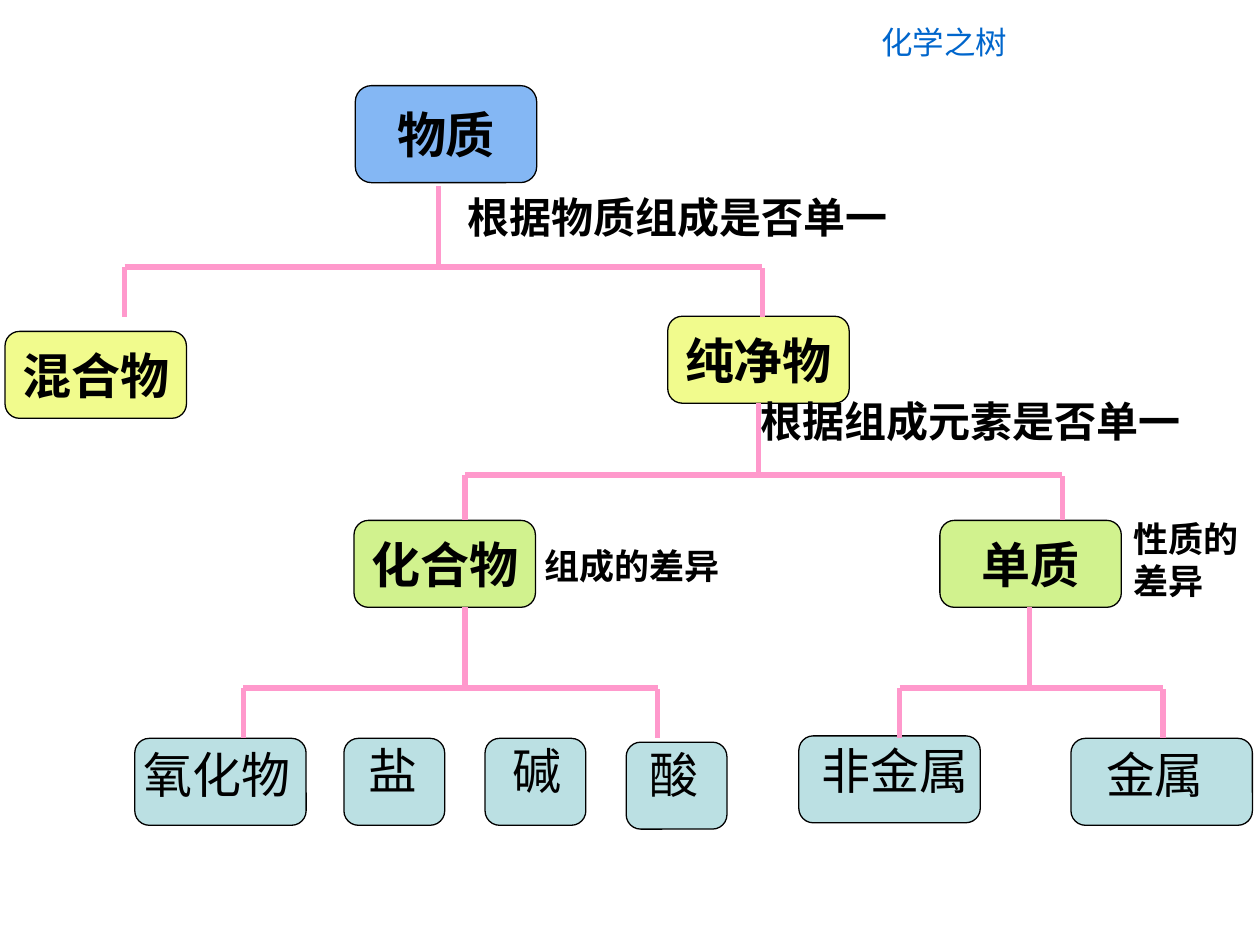
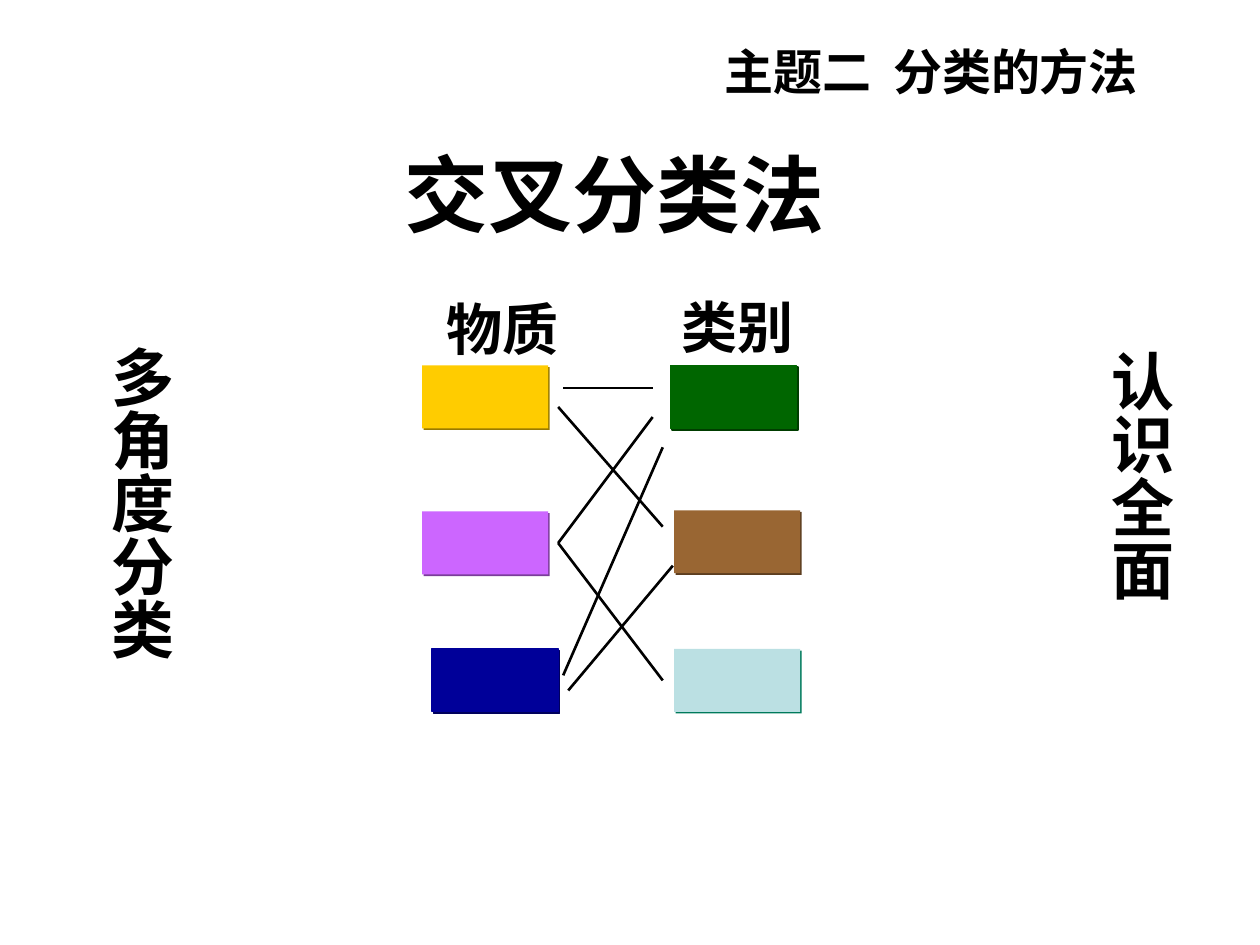
from lxml import etree
from pptx import Presentation
from pptx.dml.color import RGBColor
from pptx.enum import shapes, text
from pptx.oxml import ns
from pptx.util import Pt

PX = 9144  # 100 px to the inch
SERIF, SANS = "Times New Roman", "Noto Sans CJK SC"
BLACK, PINK = "000000", "FF99CC"
LEFT, CENTER = text.PP_ALIGN.LEFT, text.PP_ALIGN.CENTER
TOP, MIDDLE = text.MSO_ANCHOR.TOP, text.MSO_ANCHOR.MIDDLE
color = RGBColor.from_string


def write_text(shape, lines, size, font=SERIF, bold=True, fill=BLACK,
               align=LEFT, anchor=TOP, wrap=True):
    frame = shape.text_frame
    frame.auto_size = text.MSO_AUTO_SIZE.NONE
    frame.word_wrap = wrap
    frame.vertical_anchor = anchor
    for number, line in enumerate(lines):
        paragraph = frame.add_paragraph() if number else frame.paragraphs[0]
        paragraph.alignment = align
        for piece in filter(None, line.partition(" ")):
            run = paragraph.add_run()
            run.text = piece
            run.font.size = Pt(size)
            run.font.bold = bold
            run.font.name = font
            run.font.color.rgb = color(fill)
            properties = run._r.get_or_add_rPr()
            etree.SubElement(properties, ns.qn("a:ea"), typeface=SANS)
            if piece == " ":  # widen the gap between the two parts
                properties.set("spc", "630")


def draw_line(slide, x1, y1, x2, y2, stroke, width):
    line = slide.shapes.add_connector(
        shapes.MSO_CONNECTOR.STRAIGHT, x1 * PX, y1 * PX, x2 * PX, y2 * PX)
    line.line.color.rgb = color(stroke)
    line.line.width = Pt(width)
    etree.SubElement(line._element.spPr, ns.qn("a:effectLst"))


presentation = Presentation()
presentation.slide_width, presentation.slide_height = 1000 * PX, 750 * PX
title_only = presentation.slide_layouts[5]

# Both slides with their titles
titles = [
    ("化学之树", (634, 13, 231, 71), 18, SANS, False, "0066CC"),
    ("交叉分类法", (301, 108, 373, 90), 48, SERIF, True, BLACK),
]
slides = []
for title_text, place, size, font, bold, fill in titles:
    slide = presentation.slides.add_slide(title_only)
    title = slide.shapes.title
    title.left, title.top, title.width, title.height = [n * PX for n in place]
    write_text(title, [title_text], size, font, bold, fill, CENTER, wrap=False)
    slides.append(slide)
tree, crossing = slides

# Tree: boxes, the leaves have their labels apart
boxes = [
    ("物质", 282, 68, 144, 77, "84B7F4"),
    ("混合物", 4, 263, 144, 69, "F1FB8D"),
    ("纯净物", 530, 251, 144, 69, "F1FB8D"),
    ("单质", 746, 413, 144, 69, "D1F28E"),
    ("化合物", 281, 413, 144, 69, "D1F28E"),
]
leaves = [(850, 586, 144), (634, 584, 144), (497, 589, 80),
          (385, 586, 80), (273, 586, 80), (107, 586, 136)]
boxes += [("", x, y, width, 69, "BBE0E3") for x, y, width in leaves]
for name, x, y, width, height, fill in boxes:
    box = tree.shapes.add_shape(shapes.MSO_SHAPE.ROUNDED_RECTANGLE,
                                x * PX, y * PX, width * PX, height * PX)
    box.shadow.inherit = False
    box.fill.solid()
    box.fill.fore_color.rgb = color(fill)
    box.line.color.rgb = color(BLACK)
    box.line.width = Pt(0.75)
    if name:
        write_text(box, [name], 28, align=CENTER, anchor=MIDDLE, wrap=False)

leaf_labels = [("金属", 868, 586, 97), ("非金属", 642, 583, 136),
               ("酸", 506, 586, 59), ("碱", 397, 583, 59),
               ("盐", 283, 583, 59), ("氧化物", 104, 586, 139)]
for name, x, y, width in leaf_labels:
    label = tree.shapes.add_textbox(x * PX, y * PX, width * PX, 57 * PX)
    write_text(label, [name], 28, SANS, bold=False, wrap=False)

# Tree: branches as stem x, stem top, bar y, left x, right x, bottom
branches = [(348, 148, 212, 99, 605, 252), (602, 320, 377, 369, 843, 413),
            (369, 482, 546, 193, 522, 586), (817, 482, 546, 714, 923, 586)]
for stem, top, bar, left, right, bottom in branches:
    draw_line(tree, left, bar, right, bar, PINK, 3)
    draw_line(tree, left, bar, left, bottom, PINK, 3)
    draw_line(tree, right, bar + 1, right, bottom, PINK, 3)
    draw_line(tree, stem, top, stem, bar + 2, PINK, 3)

# Tree: grounds for each division
grounds = [
    (["根据物质组成是否单一"], 361, 147, 426, 50, 24),
    (["组成的差异"], 422, 427, 267, 44, 20),
    (["性质的", "差异"], 890, 406, 110, 77, 20),
    (["根据组成元素是否单一"], 594, 309, 373, 50, 24),
]
for lines, x, y, width, height, size in grounds:
    ground = tree.shapes.add_textbox(x * PX, y * PX, width * PX, height * PX)
    write_text(ground, lines, size)

# Crossing: substances at left, classes at right, each with a hard shadow
blocks = [
    (335, 290, "FFCC00", "997A00", False),
    (335, 406, "CC66FF", "7A3D99", False),
    (535, 515, "BBE0E3", "007A5C", False),
    (535, 405, "996633", "5C3D1F", False),
    (532, 290, "006600", "003D00", True),
    (343, 515, "000099", "00005C", True),
]
for x, y, fill, shade, outlined in blocks:
    block = crossing.shapes.add_shape(shapes.MSO_SHAPE.RECTANGLE,
                                      x * PX, y * PX, 100 * PX, 50 * PX)
    block.fill.solid()
    block.fill.fore_color.rgb = color(fill)
    if outlined:
        block.line.color.rgb = color(fill)
        block.line.width = Pt(0.75)
    else:
        block.line.fill.background()
    block.shadow.inherit = False
    effects = block._element.spPr.find(ns.qn("a:effectLst"))
    shadow = etree.SubElement(effects, ns.qn("a:outerShdw"), dist="17780",
                              dir="2700000", algn="ctr", rotWithShape="0")
    etree.SubElement(shadow, ns.qn("a:srgbClr"), val=shade)

# Crossing: links between substances and classes
links = [(443, 323, 526, 418), (443, 431, 518, 331), (451, 548, 534, 449),
         (443, 431, 526, 540), (447, 308, 518, 308), (447, 536, 526, 355)]
for link in links:
    draw_line(crossing, *link, BLACK, 1.5)

# Crossing: column heads and section name
heads = [
    ("物质", 337, 229, 124, 64, 32, SERIF, CENTER),
    ("类别", 522, 227, 127, 64, 32, SERIF, CENTER),
    ("主题二 分类的方法", 565, 28, 399, 57, 28, SANS, LEFT),
]
for name, x, y, width, height, size, font, align in heads:
    head = crossing.shapes.add_textbox(x * PX, y * PX, width * PX, height * PX)
    write_text(head, [name], size, font, align=align)

# Crossing: vertical side notes, centred along their height
for name, x, y, height in [("多角度分类", 67, 265, 323), ("认识全面", 860, 268, 273)]:
    side = crossing.shapes.add_textbox(x * PX, y * PX, 80 * PX, height * PX)
    write_text(side, [name], 36, SANS, align=CENTER)
    frame = side.text_frame
    frame.margin_left = frame.margin_right = 5 * PX
    frame.margin_top = frame.margin_bottom = 10 * PX
    frame._txBody.bodyPr.set("vert", "eaVert")

presentation.save("out.pptx")
